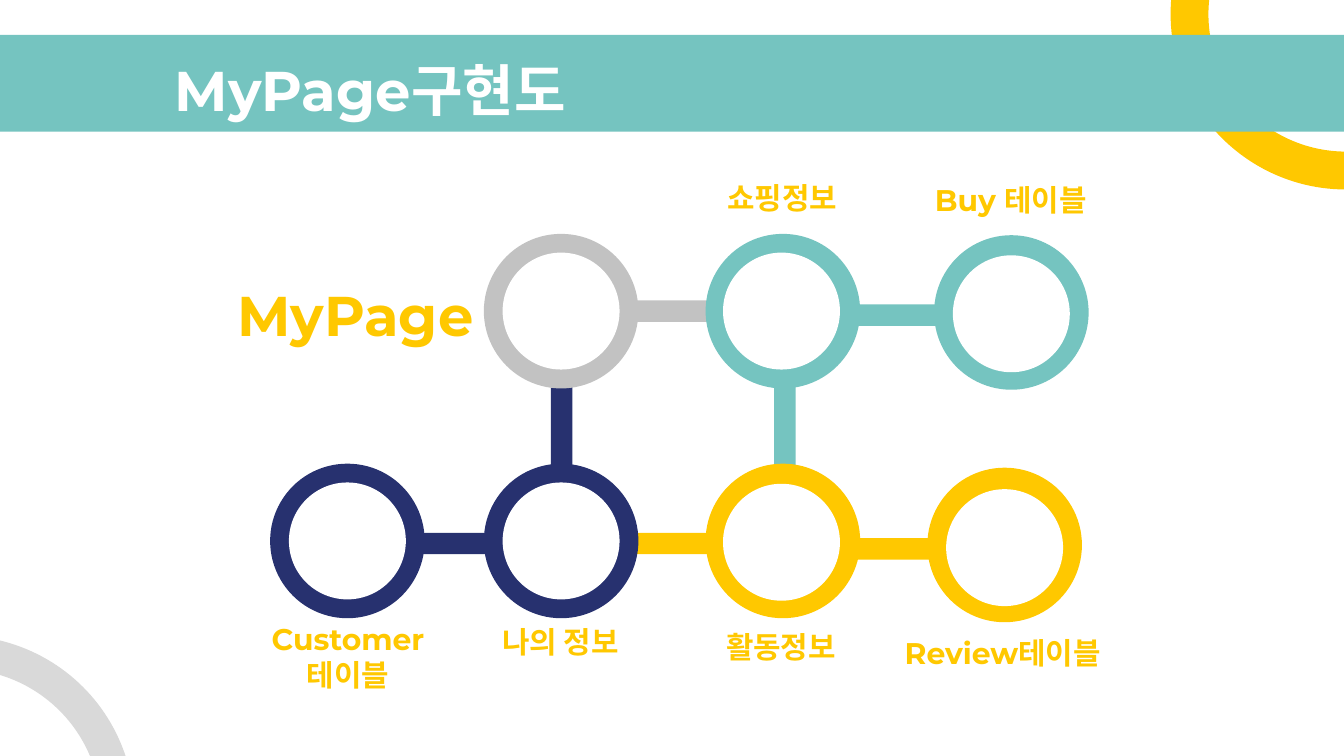
from pptx import Presentation
from pptx.dml.color import RGBColor
from pptx.enum.shapes import MSO_SHAPE as Shape
from pptx.enum.text import MSO_ANCHOR as Anchor, MSO_AUTO_SIZE as AutoSize, PP_ALIGN as Align
from pptx.util import Inches, Pt

COLORS = {"teal": "75C4C0", "yellow": "FFC800", "navy": "27316F",
          "silver": "C2C2C2", "pale": "D9D9D9", "white": "FFFFFF"}
CELL = 0.1  # inches: the slide is a grid of 100 columns by 56.25 rows
COLUMNS, ROWS = 100, 56.25
RING, HOLE = 11.5, 8.7
LINK_LONG, LINK_WIDE = 6.5, 1.6

# column, row, colour, shift of the hole from the ring's corner
NODES = [
    (22, 5.4, "silver", 1.4, 1.4),
    (38.5, 5.4, "teal", 1.3, 1.4),
    (55.5, 5.5, "teal", 1.4, 1.5),
    (6.1, 22.5, "navy", 1.4, 1.4),
    (22, 22.5, "navy", 1.4, 1.4),
    (38.5, 22.5, "yellow", 1.3, 1.5),
    (55, 22.8, "yellow", 1.4, 1.6),
]
# column, row, colour
ACROSS = [(32.55, 10.35, "silver"), (49.55, 10.65, "teal"), (15.75, 27.65, "navy"),
          (33.05, 27.65, "yellow"), (49.55, 28.05, "yellow")]
DOWN = [(27, 16.5, "navy"), (43.6, 16.4, "teal")]
# text, column, row, width, height, size
LABELS = [
    ("MyPage", 0.15, 7.9, 24.6, 6.6, 30),
    ("쇼핑정보", 34.1, 0.4, 20.2, 4.3, 16),
    ("Buy 테이블", 51.1, 0.5, 20.2, 4.3, 16),
    ("Customer 테이블", 2.6, 33.2, 18.6, 4.3, 16),
    ("나의 정보", 17.6, 33.4, 20.2, 4.3, 16),
    ("활동정보", 34, 33.8, 20.2, 4.3, 16),
    ("Review테이블", 50.5, 34.2, 20.2, 4.3, 16),
]


def cells(*counts):
    """Turn grid counts into lengths."""
    return [Inches(count * CELL) for count in counts]


def add_figure(page, kind, box, color, rotation=0, adjustments=()):
    """Draw one plain filled shape in a box of left, top, width, height."""
    figure = page.shapes.add_shape(kind, *cells(*box))
    figure.shadow.inherit = False
    figure.fill.solid()
    figure.fill.fore_color.rgb = RGBColor.from_string(COLORS[color])
    figure.line.fill.background()
    figure.rotation = rotation
    for index, value in enumerate(adjustments):
        figure.adjustments[index] = value
    return figure


def write_text(holder, text, size, color, align, after=0):
    """Write one bold paragraph into a text box or placeholder."""
    frame = holder.text_frame
    margins = dict.fromkeys(
        ("margin_left", "margin_top", "margin_right", "margin_bottom"), Inches(0.1))
    for name, value in {**margins, "word_wrap": True, "auto_size": AutoSize.NONE,
                        "vertical_anchor": Anchor.TOP}.items():
        setattr(frame, name, value)
    para = frame.paragraphs[0]
    for name, value in {"alignment": align, "space_before": Pt(0),
                        "space_after": Pt(after)}.items():
        setattr(para, name, value)
    span = para.add_run()
    span.text = text
    for name, value in {"name": "Montserrat", "size": Pt(size), "bold": True}.items():
        setattr(span.font, name, value)
    span.font.color.rgb = RGBColor.from_string(COLORS[color])


def add_decoration(page, box):
    """Place the corner arcs and the band across the slide."""
    left, top, width, height = box
    add_figure(page, Shape.BLOCK_ARC, (left + width - 12.9, top - 12, 26.1, 26.1),
               "yellow", 270, (108.208, 165.56, 0.108))
    add_figure(page, Shape.RECTANGLE, (left - 1.7, top + 2.6, width + 3.4, 7.2), "teal")
    add_figure(page, Shape.BLOCK_ARC, (left - 16.1, top + height - 8.95, 26.1, 26.1),
               "pale", 345, (175.067, 215.558, 0.095))


def add_heading(page, box, text):
    """Move the title placeholder into the box, in front of the band, and format it."""
    title = page.shapes.title
    title.left, title.top, title.width, title.height = cells(*box)
    write_text(title, text, 30, "white", Align.LEFT)
    title.element.getparent().append(title.element)


def add_diagram(page, box):
    """Draw links, then rings with holes, then labels, from the box's corner."""
    left, top = box[:2]
    for links, size in ((ACROSS, (LINK_LONG, LINK_WIDE)), (DOWN, (LINK_WIDE, LINK_LONG))):
        for column, row, color in links:
            add_figure(page, Shape.RECTANGLE, (left + column, top + row, *size), color)
    for column, row, color, shift_x, shift_y in NODES:
        x, y = left + column, top + row
        add_figure(page, Shape.OVAL, (x, y, RING, RING), color)
        add_figure(page, Shape.OVAL, (x + shift_x, y + shift_y, HOLE, HOLE), "white")
    for text, column, row, width, height, size in LABELS:
        label = page.shapes.add_textbox(*cells(left + column, top + row, width, height))
        write_text(label, text, size, "yellow", Align.CENTER, after=16)


def main():
    """Build the deck and save it."""
    deck = Presentation()
    deck.slide_width, deck.slide_height = cells(COLUMNS, ROWS)
    page = deck.slides.add_slide(deck.slide_layouts.get_by_name("Title Only"))
    add_decoration(page, (0, 0, COLUMNS, ROWS))
    add_heading(page, (12, 3.1, 84.6, 6.3), "MyPage구현도")
    add_diagram(page, (14, 12, 71, 38))
    deck.save("out.pptx")


main()
